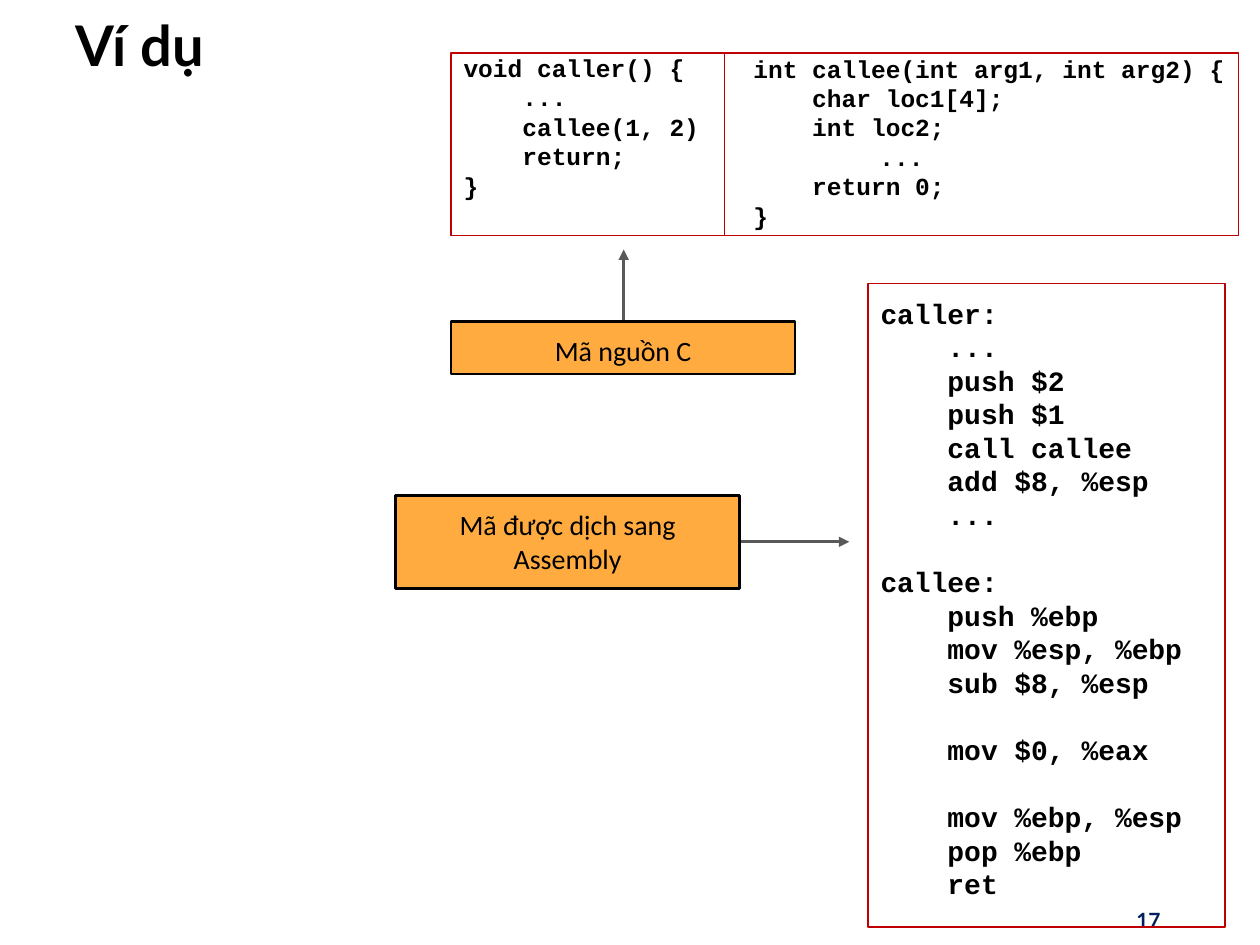
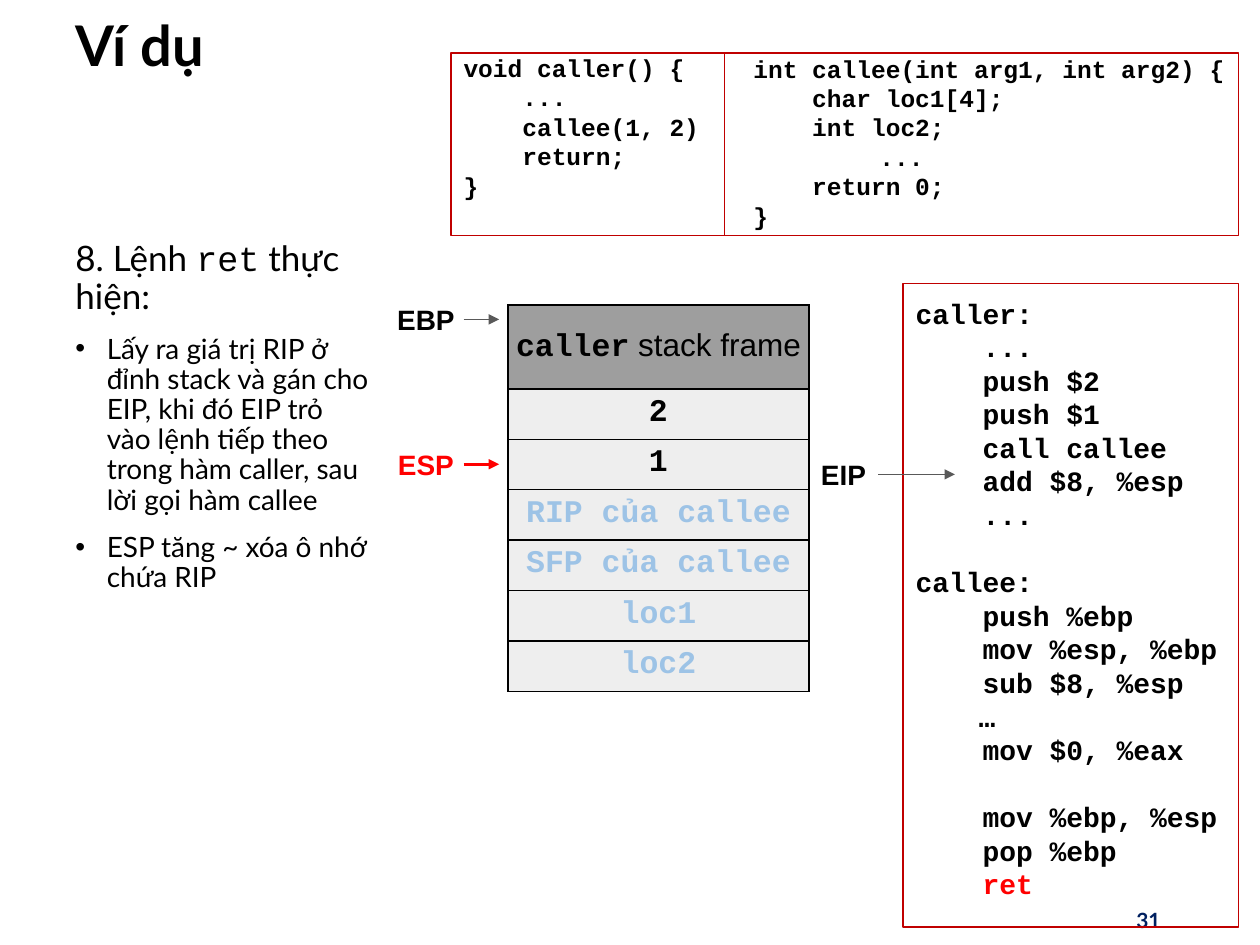
from lxml.etree import SubElement
from pptx import Presentation
from pptx.dml.color import RGBColor
from pptx.enum.shapes import MSO_CONNECTOR, MSO_SHAPE
from pptx.enum.text import MSO_ANCHOR, PP_ALIGN
from pptx.oxml.ns import qn
from pptx.util import Pt

COLORS = {
    "black": "000000", "red": "FF0000", "frame": "C00000", "arrow": "595959",
    "orange": "FFAB40", "number": "002060", "header": "9E9E9E",
    "cell": "EEEEEE", "freed": "9DC3E6",
}
TITLE = "Ví dụ"
CODE_FONT = "Courier New"

CALLER_SOURCE = """void caller() {
    ...
    callee(1, 2)
    return;
}"""
CALLEE_SOURCE = """int callee(int arg1, int arg2) {
    char loc1[4];
    int loc2;
\t...
    return 0;
}"""
ASSEMBLY = """caller:
    ...
    push $2
    push $1
    call callee
    add $8, %esp
    ...

callee:
    push %ebp
    mov %esp, %ebp
    sub $8, %esp
{body}
    mov $0, %eax

    mov %ebp, %esp
    pop %ebp"""

# text, box, arrow start, arrow end
SOURCE_LABELS = [
    ("Mã nguồn C", (257.8, 183.6, 196.6, 30.2), (356.4, 183.6), (356.4, 142.6)),
    ("Mã được dịch sang Assembly", (226.1, 283, 196.6, 53.3), (423.4, 309.6), (485.3, 309.6)),
]
STEP = [("8. Lệnh ", {}), ("ret", {"font": CODE_FONT}), (" thực hiện:", {})]
STEP_DETAILS = [
    "Lấy ra giá trị RIP ở đỉnh stack và gán cho EIP, khi đó EIP trỏ vào lệnh "
    "tiếp theo trong hàm caller, sau lời gọi hàm callee",
    "ESP tăng ~ xóa ô nhớ chứa RIP",
]
FRAME_HEADER = [("caller", {"font": CODE_FONT, "bold": True}), (" stack frame", {})]
STACK = [("2", "black"), ("1", "black"), ("RIP của callee", "freed"),
         ("SFP của callee", "freed"), ("loc1", "freed"), ("loc2", "freed")]
# name, left, top, width, arrow length, text colour, arrow colour, arrow weight
REGISTERS = [
    ("EBP", 221.8, 169.2, 43.2, 20.2, "black", "arrow", 0.75),
    ("EIP", 462.2, 257.8, 39.6, 43.9, "black", "arrow", 0.75),
    ("ESP", 221.8, 252, 43.2, 20.2, "red", "red", 1.5),
]


def rgb(name):
    return RGBColor.from_string(COLORS[name])


def write(frame, paragraphs, size=16, font="Lato", color="black", bold=False,
          align=PP_ALIGN.LEFT, anchor=MSO_ANCHOR.TOP, inset=(7.2, 7.2),
          line_spacing=None, space_before=0, bullet_from=None, tab=None):
    """Fill a text frame; a paragraph is a string or a list of (text, overrides).

    An empty paragraph becomes one line of space before the next one.
    """
    frame.word_wrap = True
    frame.vertical_anchor = anchor
    frame.margin_left = frame.margin_right = Pt(inset[0])
    frame.margin_top = frame.margin_bottom = Pt(inset[1])
    gap = 0
    paragraph = None
    for index, runs in enumerate(paragraphs):
        if not runs:
            gap += line_spacing.pt
            continue
        first = paragraph is None
        paragraph = frame.paragraphs[0] if first else frame.add_paragraph()
        properties = paragraph._p.get_or_add_pPr()
        if bullet_from is not None and index >= bullet_from:
            properties.set("marL", str(Pt(18)))
            properties.set("indent", str(-Pt(18)))
            SubElement(properties, qn("a:buFont"), typeface="Arial")
            SubElement(properties, qn("a:buChar"), char="•")
        if tab and "\t" in runs:
            tabs = SubElement(properties, qn("a:tabLst"))
            SubElement(tabs, qn("a:tab"), pos=str(Pt(tab)), algn="l")
        paragraph.alignment = align
        if line_spacing:
            paragraph.line_spacing = line_spacing
        if not first:
            paragraph.space_before = Pt(space_before + gap)
        gap = 0
        for text, changes in [(runs, {})] if isinstance(runs, str) else runs:
            run = paragraph.add_run()
            run.text = text
            run.font.size = Pt(changes.get("size", size))
            run.font.name = changes.get("font", font)
            run.font.bold = changes.get("bold", bold)
            run.font.color.rgb = rgb(changes.get("color", color))


def add_text(slide, box, paragraphs, **text_format):
    shape = slide.shapes.add_textbox(*map(Pt, box))
    write(shape.text_frame, paragraphs, **text_format)


def add_code(slide, box, lines, size, tab=72):
    add_text(slide, box, lines, size=size, font=CODE_FONT, bold=True,
             line_spacing=Pt(1.2 * size), tab=tab)


def add_box(slide, box, line, weight, fill=None):
    shape = slide.shapes.add_shape(MSO_SHAPE.RECTANGLE, *map(Pt, box))
    shape.shadow.inherit = False
    if fill:
        shape.fill.solid()
        shape.fill.fore_color.rgb = rgb(fill)
    else:
        shape.fill.background()
    shape.line.color.rgb = rgb(line)
    shape.line.width = Pt(weight)
    return shape


def add_line(slide, start, end, color, weight, arrow=True):
    line = slide.shapes.add_connector(MSO_CONNECTOR.STRAIGHT, *map(Pt, start + end))
    line.line.color.rgb = rgb(color)
    line.line.width = Pt(weight)
    if arrow:
        SubElement(line.line._get_or_add_ln(), qn("a:tailEnd"), type="triangle")
    SubElement(line._element.spPr, qn("a:effectLst"))


def add_slide(presentation, number, assembly_left, assembly_width, body, last_line):
    """Add the title, page number, C source and assembly listing."""
    slide = presentation.slides.add_slide(presentation.slide_layouts[6])
    add_text(slide, (36, 5.8, 634.3, 43.9), [TITLE], size=32, bold=True,
             anchor=MSO_ANCHOR.MIDDLE, inset=(7.2, 3.6), line_spacing=0.9)
    add_text(slide, (508.3, 511.2, 162, 28.8), [number], size=12, bold=True,
             color="number", align=PP_ALIGN.RIGHT, anchor=MSO_ANCHOR.MIDDLE,
             inset=(7.2, 3.6))
    assembly_box = (assembly_left, 162, assembly_width, 367.9)
    add_box(slide, assembly_box, "frame", 1)
    lines = ASSEMBLY.format(body=body).split("\n") + [last_line]
    add_code(slide, assembly_box, lines, 16, tab=36)
    add_code(slide, (257.8, 23, 180, 85), CALLER_SOURCE.split("\n"), 14)
    add_code(slide, (423.4, 23.4, 289.4, 116.6), CALLEE_SOURCE.split("\n"), 14)
    add_box(slide, (257.8, 30.2, 450, 104.4), "frame", 1)
    add_line(slide, (414, 30.2), (414, 134.6), "frame", 1, arrow=False)
    return slide


def style_cell(cell, fill):
    """Set the fill and a thin black border on every side."""
    properties = cell._tc.get_or_add_tcPr()
    for side in ("a:lnL", "a:lnR", "a:lnT", "a:lnB"):
        border = SubElement(properties, qn(side), w=str(Pt(1)))
        solid = SubElement(border, qn("a:solidFill"))
        SubElement(solid, qn("a:srgbClr"), val=COLORS["black"])
    cell.fill.solid()
    cell.fill.fore_color.rgb = rgb(fill)


def add_stack(slide):
    header_height, row_height = 48, 28.8
    height = header_height + row_height * len(STACK)
    table = slide.shapes.add_table(len(STACK) + 1, 1, Pt(290.2), Pt(174.2),
                                   Pt(172.1), Pt(height)).table
    table.first_row = table.horz_banding = False
    for index, row in enumerate(table.rows):
        row.height = Pt(row_height if index else header_height)
        cell = row.cells[0]
        style_cell(cell, "cell" if index else "header")
        shared = {"size": 18, "align": PP_ALIGN.CENTER}
        if index:
            text, color = STACK[index - 1]
            write(cell.text_frame, [text], font=CODE_FONT, bold=True, color=color, **shared)
        else:
            write(cell.text_frame, [FRAME_HEADER], font="Arial", **shared)
        cell.vertical_anchor = MSO_ANCHOR.TOP if index else MSO_ANCHOR.MIDDLE
        cell.margin_left = cell.margin_right = Pt(3.6)
        cell.margin_top = cell.margin_bottom = Pt(3.6)


def build_source_slide(presentation):
    slide = add_slide(presentation, "17", 496.1, 203.8, "", "    ret")
    for text, box, start, end in SOURCE_LABELS:
        add_line(slide, start, end, "arrow", 1.5)
        label = add_box(slide, box, "black", 1.5, fill="orange")
        write(label.text_frame, [text], font="Calibri", align=PP_ALIGN.CENTER)


def build_return_slide(presentation):
    last_line = [("    ", {}), ("ret", {"color": "red"})]
    slide = add_slide(presentation, "31", 516.2, 191.5, "\t…", last_line)
    step = [(text, {"size": 20, **changes}) for text, changes in STEP]
    add_text(slide, (36, 134.6, 184.3, 375.1), [step] + STEP_DETAILS,
             inset=(7.2, 3.6), line_spacing=0.9, space_before=10, bullet_from=1)
    add_stack(slide)
    for name, left, top, width, length, color, arrow_color, weight in REGISTERS:
        add_text(slide, (left, top, width, 26.6), [name], font="Arial", bold=True,
                 color=color, align=PP_ALIGN.CENTER, inset=(3.6, 3.6))
        start, middle = left + width, top + 13.3
        add_line(slide, (start, middle), (start + length, middle), arrow_color, weight)


def main():
    presentation = Presentation()
    presentation.slide_width, presentation.slide_height = Pt(720), Pt(540)
    build_source_slide(presentation)
    build_return_slide(presentation)
    presentation.save("out.pptx")


if __name__ == "__main__":
    main()
